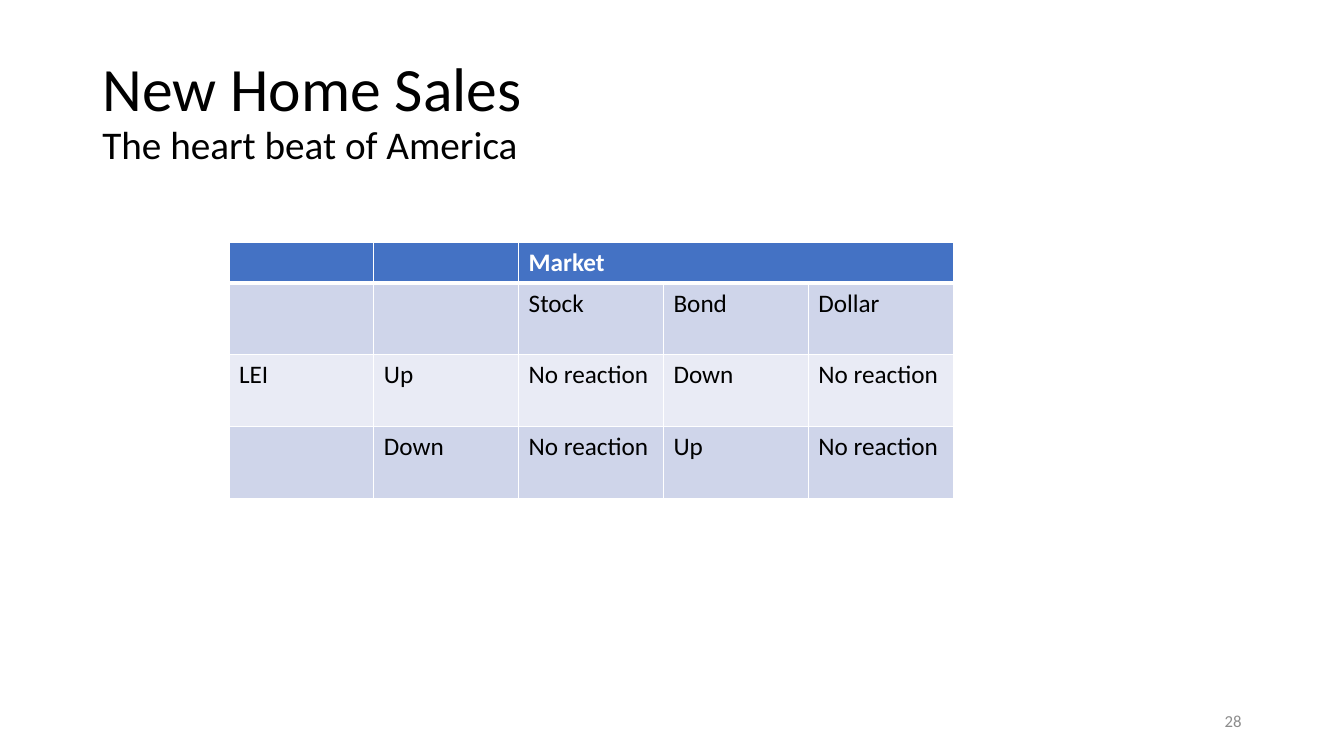
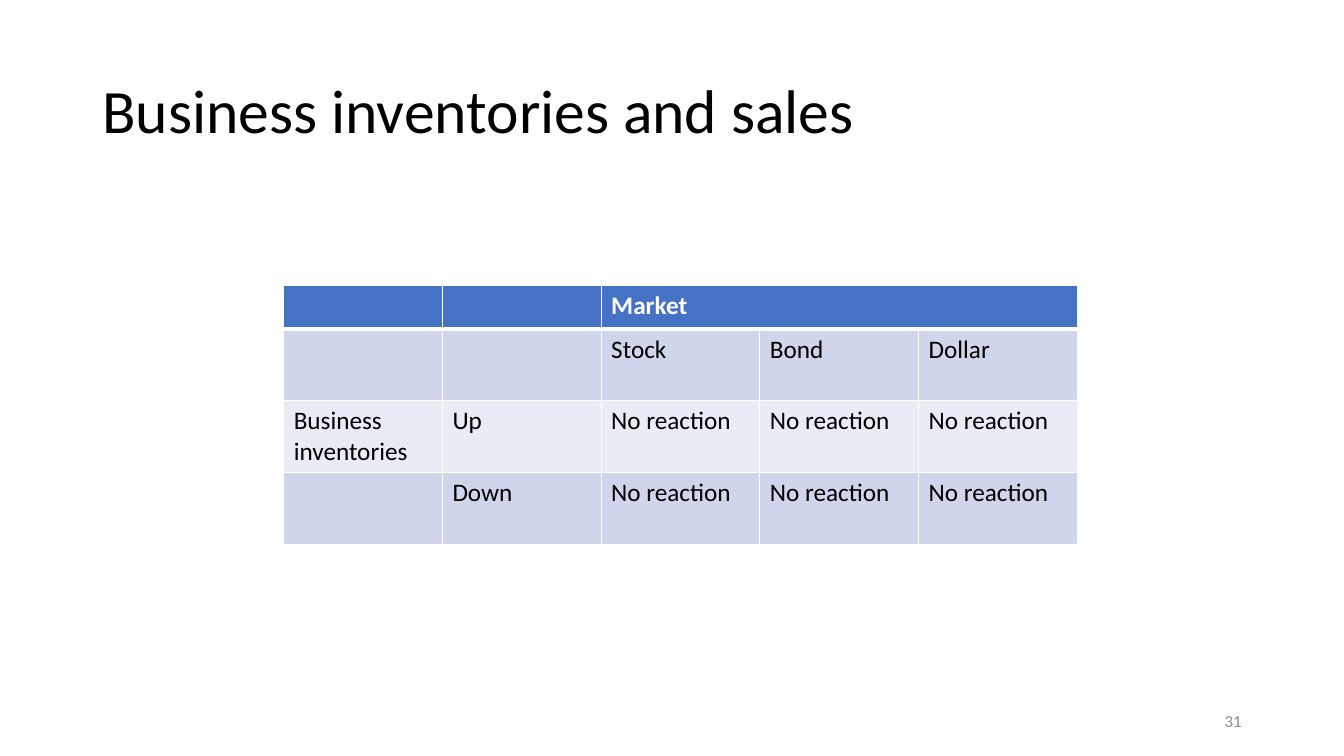
from dataclasses import dataclass

from lxml.etree import SubElement
from pptx import Presentation
from pptx.dml.color import RGBColor
from pptx.enum.text import MSO_ANCHOR, PP_ALIGN
from pptx.oxml.ns import qn
from pptx.util import Cm, Pt

FONT = "Calibri"
COLORS = {
    "text": "000000",
    "header": "4472C4",
    "band_dark": "CFD5EA",
    "band_light": "E9EBF5",
    "white": "FFFFFF",
    "page_number": "8C8C8C",
}
COLUMN_COUNT = 5
BODY_ROW_HEIGHT = 1.81
THIN, THICK = 1, 3


@dataclass
class MarketTable:
    """Position and sizes in centimetres, with the market reactions per direction."""
    left: float
    top: float
    column_width: float
    header_height: float
    indicator: str
    up: list[str]
    down: list[str]

    def rows(self) -> list[list[str]]:
        return [
            ["", "", "Market", "", ""],
            ["", "", "Stock", "Bond", "Dollar"],
            [self.indicator, "Up", *self.up],
            ["", "Down", *self.down],
        ]


@dataclass
class MarketPage:
    title: str
    subtitle: str
    number: int
    table: MarketTable


NO_REACTION = "No reaction"
PAGES = [
    MarketPage(
        "New Home Sales", "The heart beat of America", 28,
        MarketTable(5.77, 6.1, 3.65, 1.03, "LEI",
                    [NO_REACTION, "Down", NO_REACTION],
                    [NO_REACTION, "Up", NO_REACTION])),
    MarketPage(
        "Business inventories and sales", "", 31,
        MarketTable(7.15, 7.2, 4, 1.09, "Business inventories",
                    [NO_REACTION] * 3, [NO_REACTION] * 3)),
]


def style_font(font, size: float, color: str, bold: bool = False) -> None:
    font.name = FONT
    font.size = Pt(size)
    font.bold = bold
    font.color.rgb = RGBColor.from_string(COLORS[color])


def add_box(page, left: float, top: float, width: float, height: float, text: str):
    """Add a wrapping, vertically centred text box and return its paragraph."""
    box = page.shapes.add_textbox(Cm(left), Cm(top), Cm(width), Cm(height))
    frame = box.text_frame
    frame.word_wrap = True
    frame.vertical_anchor = MSO_ANCHOR.MIDDLE
    para = frame.paragraphs[0]
    para.text = text
    return para


def add_title(page, title: str, subtitle: str) -> None:
    lines = [line for line in (title, subtitle) if line]
    para = add_box(page, 2.33, 1.01, 29.21, 3.68, "\v".join(lines))
    para.line_spacing = 0.9
    for span, size in zip(para.runs, (44, 28)):
        style_font(span.font, size, "text")


def add_page_number(page, number: int) -> None:
    para = add_box(page, 23.92, 17.66, 7.62, 1.01, str(number))
    para.alignment = PP_ALIGN.RIGHT
    style_font(para.runs[0].font, 12, "page_number")


def set_borders(cell, top: float, bottom: float) -> None:
    """Draw white cell borders; must run before the cell is filled."""
    properties = cell._tc.get_or_add_tcPr()
    widths = {"a:lnL": THIN, "a:lnR": THIN, "a:lnT": top, "a:lnB": bottom}
    for tag, width in widths.items():
        line = SubElement(properties, qn(tag), w=str(Pt(width)))
        fill = SubElement(line, qn("a:solidFill"))
        SubElement(fill, qn("a:srgbClr"), val=COLORS["white"])


def style_cell(cell, row_index: int) -> None:
    is_header = row_index == 0
    set_borders(cell,
                top=THICK if row_index < 2 and not is_header else THIN,
                bottom=THICK if is_header else THIN)
    band = "band_dark" if row_index % 2 else "band_light"
    cell.fill.solid()
    cell.fill.fore_color.rgb = RGBColor.from_string(
        COLORS["header" if is_header else band])
    for span in cell.text_frame.paragraphs[0].runs:
        style_font(span.font, 18, "white" if is_header else "text", is_header)


def add_market_table(page, market: MarketTable) -> None:
    rows = market.rows()
    heights = [market.header_height] + [BODY_ROW_HEIGHT] * (len(rows) - 1)
    table = page.shapes.add_table(
        len(rows), COLUMN_COUNT, Cm(market.left), Cm(market.top),
        Cm(market.column_width * COLUMN_COUNT), Cm(sum(heights))).table
    for column in table.columns:
        column.width = Cm(market.column_width)
    for row_index, (texts, height) in enumerate(zip(rows, heights)):
        table.rows[row_index].height = Cm(height)
        for column_index, text in enumerate(texts):
            cell = table.cell(row_index, column_index)
            if text:
                cell.text_frame.text = text
            style_cell(cell, row_index)
    table.cell(0, 2).merge(table.cell(0, COLUMN_COUNT - 1))


def main() -> None:
    deck = Presentation()
    deck.slide_width, deck.slide_height = Cm(33.87), Cm(19.05)
    blank = deck.slide_layouts[6]
    for content in PAGES:
        page = deck.slides.add_slide(blank)
        add_title(page, content.title, content.subtitle)
        add_market_table(page, content.table)
        add_page_number(page, content.number)
    deck.save("out.pptx")


if __name__ == "__main__":
    main()
